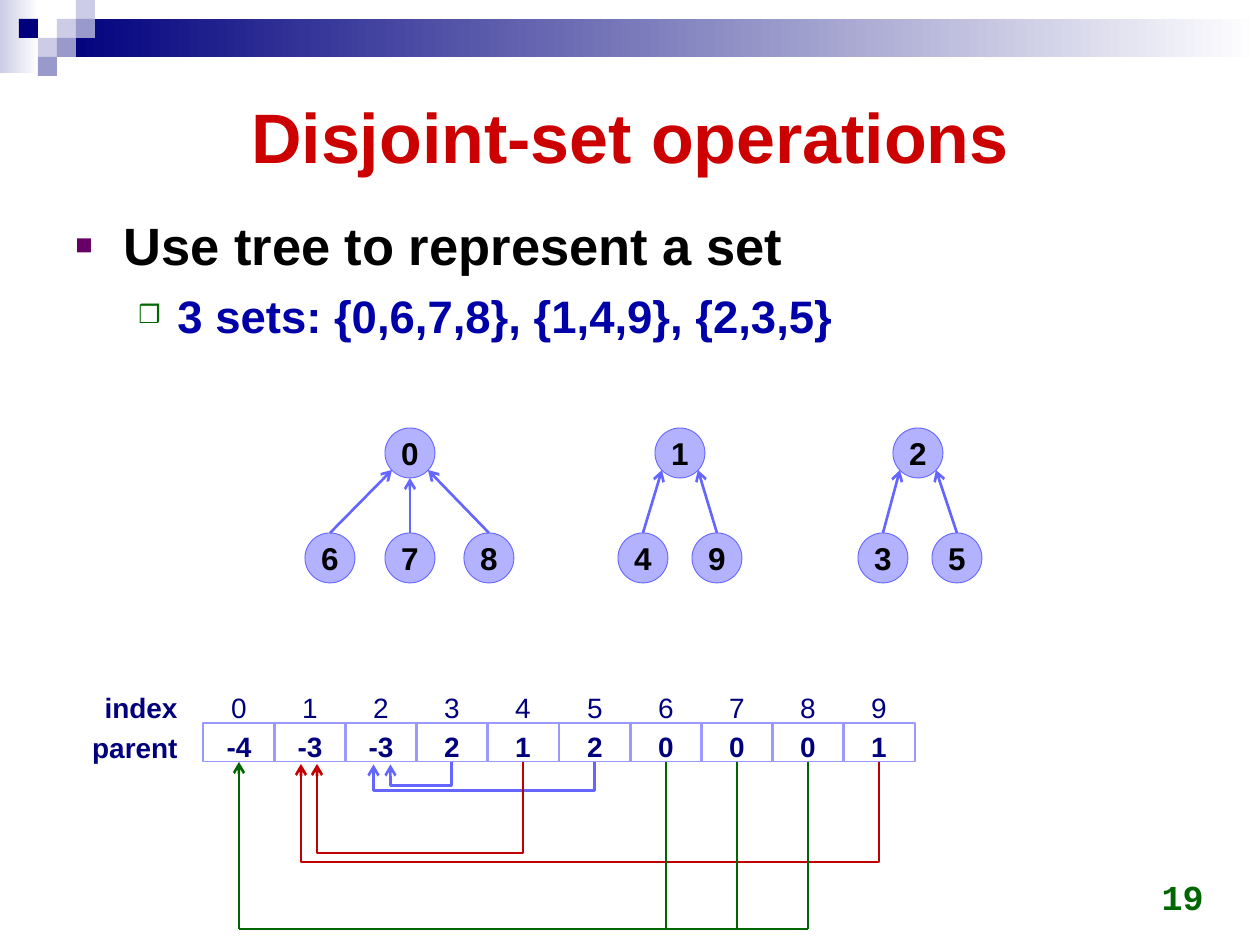
from dataclasses import dataclass

import pptx
import pptx.dml.color
import pptx.enum.shapes
import pptx.enum.text
import pptx.oxml.ns
import pptx.util
from lxml import etree

PX = 7257  # EMU in one px, at 126 px to the inch
ALIGN = pptx.enum.text.PP_ALIGN
ANCHOR = pptx.enum.text.MSO_ANCHOR
SHAPE = pptx.enum.shapes.MSO_SHAPE
CONNECTOR = pptx.enum.shapes.MSO_CONNECTOR
rgb = pptx.dml.color.RGBColor.from_string
qn = pptx.oxml.ns.qn


@dataclass(frozen=True)
class Theme:
    font: str = "Arial"
    number_font: str = "Courier New"
    title: str = "CC0000"
    text: str = "000000"
    subtext: str = "0000A8"
    navy: str = "00007D"
    pale: str = "CCCCE6"
    mid: str = "9999CC"
    white: str = "FFFFFF"
    bullet: str = "660066"
    green: str = "006600"
    red: str = "C00000"
    node: str = "B2B2FF"
    edge: str = "6565FF"
    cell_border: str = "9999FF"
    title_size: int = 40
    body_size: int = 30
    sub_size: int = 26
    number_size: int = 20
    node_size: int = 18
    array_size: int = 16


theme = Theme()


def write(frame, text, *, size, color, bold=True, font=theme.font,
          align=ALIGN.LEFT, anchor=ANCHOR.TOP, wrap=True):
    """Fill the frame's empty first paragraph, or add a paragraph after the others."""
    frame.word_wrap = wrap
    frame.vertical_anchor = anchor
    para = frame.add_paragraph() if frame.text else frame.paragraphs[0]
    para.alignment = align
    span = para.add_run()
    span.text = text
    span.font.name = font
    span.font.size = pptx.util.Pt(size)
    span.font.bold = bold
    span.font.color.rgb = rgb(color)
    return para


def draw_line(x1, y1, x2, y2, color, arrow=True, kind=CONNECTOR.STRAIGHT):
    line = slide.shapes.add_connector(kind, x1 * PX, y1 * PX, x2 * PX, y2 * PX)
    line.line.width = pptx.util.Pt(1.5)
    line.line.color.rgb = rgb(color)
    properties = line._element.spPr
    if arrow:
        etree.SubElement(properties.find(qn("a:ln")), qn("a:tailEnd"), type="arrow")
    etree.SubElement(properties, qn("a:effectLst"))
    return line


deck = pptx.Presentation()
deck.slide_width = pptx.util.Inches(10)
deck.slide_height = pptx.util.Inches(7.5)
slide = deck.slides.add_slide(deck.slide_layouts[5])

# Header band and its mosaic of squares
SQUARE = 19
panels = [(0, 0, 39, 73, (theme.pale, theme.white)),
          (57, 19, 1203, 38, (theme.navy, theme.white))]
mosaic = [(3, 1, theme.pale), (4, 0, theme.pale), (4, 1, theme.mid),
          (2, 2, theme.pale), (1, 1, theme.navy), (3, 2, theme.mid), (2, 3, theme.mid)]
panels += [(column * SQUARE, row * SQUARE, SQUARE, SQUARE, (color,))
           for column, row, color in mosaic]
for left, top, width, height, colors in panels:
    panel = slide.shapes.add_shape(SHAPE.RECTANGLE, left * PX, top * PX, width * PX, height * PX)
    panel.shadow.inherit = False
    panel.line.fill.background()
    if len(colors) == 1:
        panel.fill.solid()
        panel.fill.fore_color.rgb = rgb(colors[0])
    else:
        panel.fill.gradient()
        panel.fill.gradient_angle = 0
        for stop, color in zip(panel.fill.gradient_stops, colors):
            stop.color.rgb = rgb(color)

# Title, bullets and page number
title = slide.shapes.title
title.left, title.top, title.width, title.height = 63 * PX, 63 * PX, 1134 * PX, 146 * PX
write(title.text_frame, "Disjoint-set operations", size=theme.title_size,
      color=theme.title, align=ALIGN.CENTER, anchor=ANCHOR.MIDDLE)

body = slide.shapes.add_textbox(63 * PX, 204 * PX, 1134 * PX, 655 * PX)
bullets = [
    ("Use tree to represent a set", 0, theme.body_size, theme.text, 48, 48, "■", theme.bullet),
    ("3 sets: {0,6,7,8}, {1,4,9}, {2,3,5}", 1, theme.sub_size, theme.subtext,
     102, 39, "❒", theme.green),
]
for text, level, size, color, margin, hanging, mark, mark_color in bullets:
    para = write(body.text_frame, text, size=size, color=color)
    para.level = level
    para.line_spacing = 1.05
    para.space_before = pptx.util.Pt(5)
    properties = para._p.get_or_add_pPr()
    properties.set("marL", str(margin * PX))
    properties.set("indent", str(-hanging * PX))
    bullet_color = etree.SubElement(properties, qn("a:buClr"))
    etree.SubElement(bullet_color, qn("a:srgbClr"), val=mark_color)
    etree.SubElement(properties, qn("a:buSzPct"), val="55000")
    etree.SubElement(properties, qn("a:buFont"), typeface=theme.font)
    etree.SubElement(properties, qn("a:buChar"), char=mark)

number = slide.shapes.add_textbox(922 * PX, 861 * PX, 294 * PX, 63 * PX)
write(number.text_frame, "19", size=theme.number_size, color=theme.green,
      font=theme.number_font, align=ALIGN.RIGHT, anchor=ANCHOR.BOTTOM)

# Trees: (label, left) of the root, then of its children
NODE, ROOT_TOP, CHILD_TOP = 50, 428, 533
trees = [
    [("0", 385), ("6", 305), ("7", 385), ("8", 464)],
    [("1", 655), ("4", 618), ("9", 692)],
    [("2", 893), ("3", 858), ("5", 932)],
]
for tree in trees:
    root_left = tree[0][1]
    for position, (label, left) in enumerate(tree):
        top = CHILD_TOP if position else ROOT_TOP
        node = slide.shapes.add_shape(SHAPE.OVAL, left * PX, top * PX, NODE * PX, NODE * PX)
        node.shadow.inherit = False
        node.fill.solid()
        node.fill.fore_color.rgb = rgb(theme.node)
        node.line.color.rgb = rgb(theme.edge)
        node.line.width = pptx.util.Pt(0.5)
        write(node.text_frame, label, size=theme.node_size, color=theme.text,
              align=ALIGN.CENTER, anchor=ANCHOR.MIDDLE, wrap=False)
        if position:
            side = (left > root_left) - (left < root_left)
            tip_x = root_left + NODE // 2 + 18 * side
            tip_y = ROOT_TOP + (42 if side else NODE)
            edge = draw_line(left + NODE // 2, top, tip_x, tip_y, theme.edge)
            edge.begin_connect(node, 0)

# Parent array
CELL_WIDTH, CELL_HEIGHT, INDEX_TOP, PARENT_TOP = 72, 39, 684, 723
ARRAY_BOTTOM = PARENT_TOP + CELL_HEIGHT
parents = [-4, -3, -3, 2, 1, 2, 0, 0, 0, 1]
lefts = [203 + 712 * index // 10 for index in range(len(parents))]
centers = [left + CELL_WIDTH // 2 for left in lefts]
labels = [("index", 63, INDEX_TOP, 127, True, ALIGN.RIGHT),
          ("parent", 63, PARENT_TOP + 1, 127, True, ALIGN.RIGHT)]
labels += [(str(index), left, INDEX_TOP, CELL_WIDTH, False, ALIGN.CENTER)
           for index, left in enumerate(lefts)]
for text, left, top, width, bold, align in labels:
    box = slide.shapes.add_textbox(left * PX, top * PX, width * PX, CELL_HEIGHT * PX)
    write(box.text_frame, text, size=theme.array_size, color=theme.navy,
          bold=bold, align=align)

cells = []
for parent, left in zip(parents, lefts):
    cell = slide.shapes.add_shape(SHAPE.RECTANGLE, left * PX, PARENT_TOP * PX,
                                  CELL_WIDTH * PX, CELL_HEIGHT * PX)
    cell.shadow.inherit = False
    cell.fill.background()
    cell.line.color.rgb = rgb(theme.cell_border)
    cell.line.width = pptx.util.Pt(0.75)
    write(cell.text_frame, str(parent), size=theme.array_size, color=theme.navy,
          align=ALIGN.CENTER, wrap=False)
    cells.append(cell)

# U-shaped links: an elbow turned by 90 degrees, its bend pushed down by the depth
RISE = 2
links = [(3, 391, 23, theme.edge), (5, 374, 28, theme.edge),
         (4, 317, 92, theme.red), (9, 301, 101, theme.red)]
for child, tip_x, depth, color in links:
    span_width = centers[child] - tip_x
    middle_x = (centers[child] + tip_x) // 2
    top = ARRAY_BOTTOM + RISE // 2 - span_width // 2
    link = draw_line(middle_x - RISE // 2, top, middle_x + RISE // 2, top + span_width,
                     color, kind=CONNECTOR.ELBOW)
    properties = link._element.spPr
    properties.find(qn("a:xfrm")).set("rot", "5400000")
    adjustments = properties.find(qn("a:prstGeom")).get_or_add_avLst()
    etree.SubElement(adjustments, qn("a:gd"), name="adj1", fmla=f"val {depth * 100000 // RISE}")

# Links to cell 0 share one rail
RAIL = 929
draw_line(centers[8], RAIL, centers[0], RAIL, theme.green, arrow=False)
riser = draw_line(centers[0], RAIL, centers[0], ARRAY_BOTTOM, theme.green)
riser.end_connect(cells[0], 2)
for child in (6, 7, 8):
    drop = draw_line(centers[child], ARRAY_BOTTOM, centers[child], RAIL, theme.green, arrow=False)
    drop.begin_connect(cells[child], 2)

deck.save("out.pptx")
